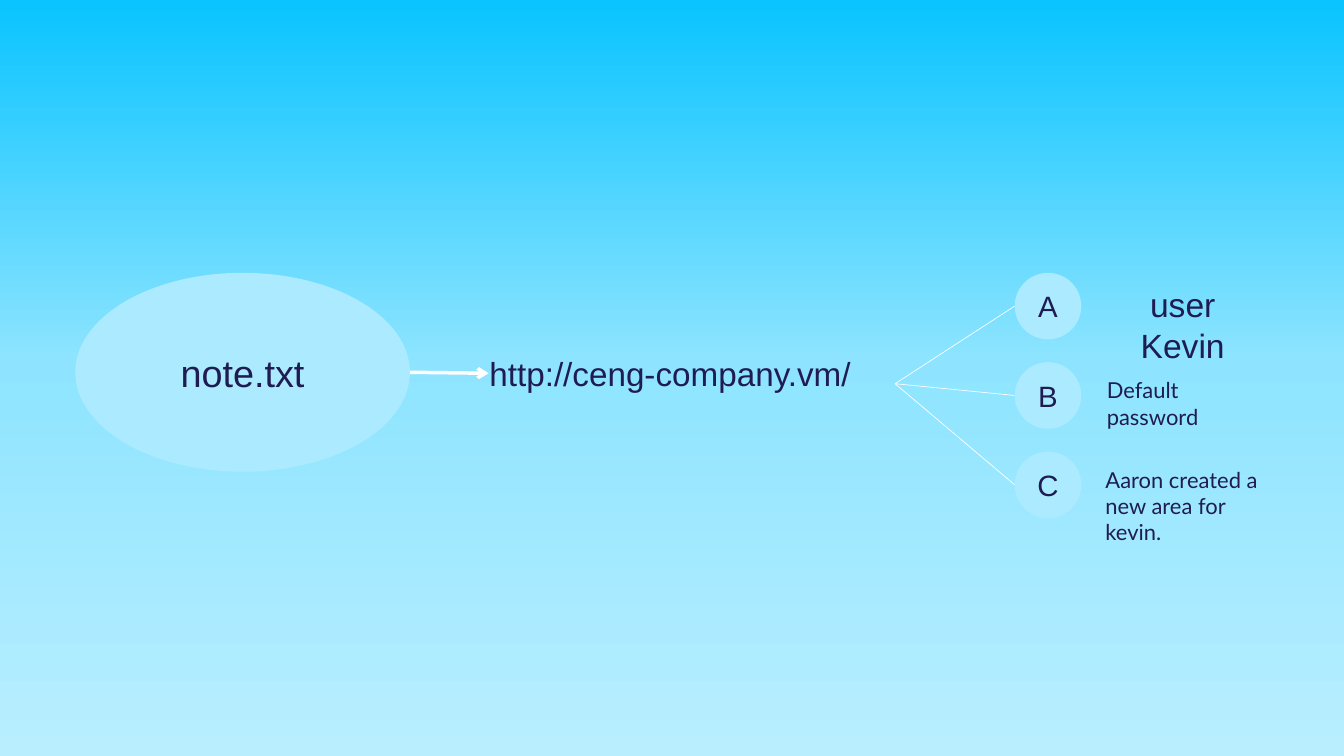
from copy import deepcopy

from lxml.etree import SubElement
from pptx import Presentation
from pptx.dml.color import RGBColor
from pptx.enum.shapes import MSO_CONNECTOR as CONNECTOR, MSO_SHAPE as SHAPE
from pptx.enum.text import MSO_ANCHOR as ANCHOR, PP_ALIGN as ALIGN
from pptx.oxml.ns import qn
from pptx.util import Inches, Pt

COLUMNS, ROWS = 20, 11.25


def color(value):
    """Turn a hex string into a colour."""
    return RGBColor.from_string(value)


class Diagram:
    """Hold the style and the current slide."""

    ink, bubble, white = "1F1C51", "ACEBFF", "FFFFFF"
    sky = {0: "09C4FF", 0.48: "8EE4FF", 1: "B9EEFF"}

    def __init__(self, deck):
        """Add a blank slide and measure its grid."""
        self.page = deck.slides.add_slide(deck.slide_layouts[6])
        self.column = deck.slide_width / COLUMNS
        self.row = deck.slide_height / ROWS

    def place(self, *cells):
        """Turn column and row pairs into slide lengths."""
        units = (self.column, self.row) * (len(cells) // 2)
        return [round(cell * unit) for cell, unit in zip(cells, units)]

    def background(self):
        """Fill the page with the sky gradient from top to bottom."""
        fill = self.page.background.fill
        fill.gradient()
        fill.gradient_angle = 270
        stops = self.page.element.find(".//" + qn("a:gsLst"))
        stops.append(deepcopy(stops[0]))
        for stop, (position, value) in zip(fill.gradient_stops, self.sky.items()):
            stop.position = position
            stop.color.rgb = color(value)

    def set_text(self, shape, text, size, font, align, inset=0, anchor=ANCHOR.TOP):
        """Set one styled paragraph in a shape."""
        frame = shape.text_frame
        sides = ("left", "top", "right", "bottom")
        layout = {f"margin_{side}": Inches(inset) for side in sides}
        layout |= {"word_wrap": True, "vertical_anchor": anchor}
        for name, value in layout.items():
            setattr(frame, name, value)
        para = frame.paragraphs[0]
        para.alignment = align
        para.line_spacing = Pt(round(size * 1.2, 1))
        span = para.add_run()
        span.text = text
        for name, value in {"size": Pt(size), "name": font}.items():
            setattr(span.font, name, value)
        span.font.color.rgb = color(self.ink)

    def oval(self, cells, text, size):
        """Draw a filled oval with centred text."""
        shape = self.page.shapes.add_shape(SHAPE.OVAL, *self.place(*cells))
        shape.shadow.inherit = False
        shape.fill.solid()
        shape.fill.fore_color.rgb = color(self.bubble)
        shape.line.fill.background()
        self.set_text(shape, text, size, "Arial", ALIGN.CENTER, 0.06, ANCHOR.MIDDLE)

    def label(self, cells, text, size, font="Arial", align=ALIGN.CENTER):
        """Add a text box and return it."""
        box = self.page.shapes.add_textbox(*self.place(*cells))
        self.set_text(box, text, size, font, align)
        return box

    def line(self, start, end, width=0.75):
        """Draw a straight white line and return it."""
        link = self.page.shapes.add_connector(
            CONNECTOR.STRAIGHT, *self.place(*start, *end))
        link.line.color.rgb = color(self.white)
        link.line.width = Pt(width)
        SubElement(link.element.spPr, qn("a:effectLst"))
        return link

    def arrow(self, start, end, target):
        """Draw a thick arrow joined to the left side of a box."""
        link = self.line(start, end, 3.75)
        link.end_connect(target, 1)
        outline = link.element.spPr.find(qn("a:ln"))
        SubElement(outline, qn("a:tailEnd"), type="arrow")


def main():
    """Build the deck."""
    deck = Presentation()
    deck.slide_width, deck.slide_height = Inches(20), Inches(11.25)
    diagram = Diagram(deck)
    diagram.background()

    left, top, width, height = 1.12, 4.06, 4.98, 2.96
    diagram.oval((left, top, width, height), "note.txt", 40.5)
    address = diagram.label((7.27, 5.25, 5.41, 0.61), "http://ceng-company.vm/", 35.6)
    diagram.arrow((left + width, top + height / 2), (7.27, 5.56), address)

    circle_left, circle_size, step = 15.1, 0.99, 1.33
    for index, letter in enumerate("ABC"):
        circle_top = top + index * step
        diagram.line((13.32, 5.71), (circle_left, circle_top + circle_size / 2))
        diagram.oval((circle_left, circle_top, circle_size, circle_size), letter, 31.5)

    diagram.label((16.42, 4.23, 2.36, 0.62), "user Kevin", 36)
    notes = {
        "Default password": (16.47, 5.61, 1.83, 0.77),
        "Aaron created a new area for kevin.": (16.45, 6.94, 2.4, 1.15),
    }
    for text, cells in notes.items():
        diagram.label(cells, text, 23.5, "Lato", ALIGN.LEFT)

    deck.save("out.pptx")


if __name__ == "__main__":
    main()
